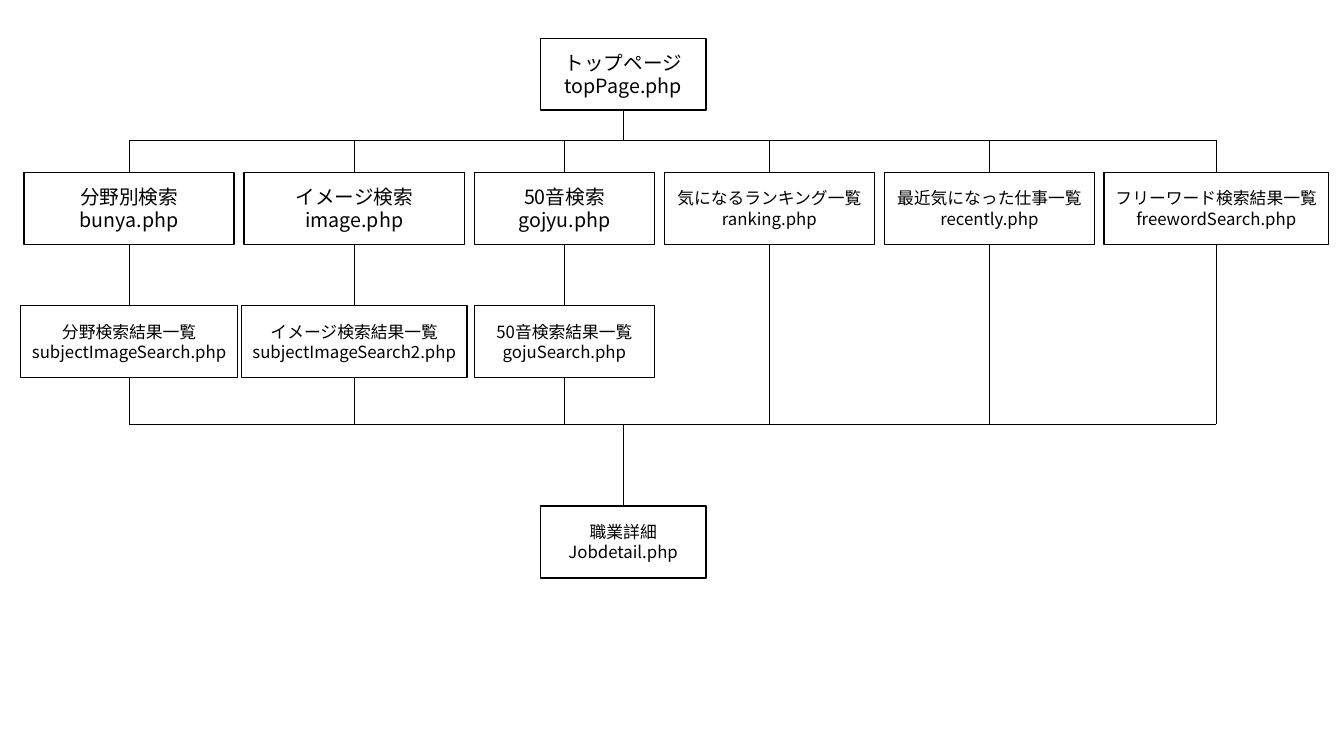
from lxml.etree import SubElement
from pptx import Presentation
from pptx.dml.color import RGBColor
from pptx.enum.shapes import MSO_CONNECTOR, MSO_SHAPE
from pptx.enum.text import MSO_ANCHOR, PP_ALIGN
from pptx.oxml.ns import qn
from pptx.util import Pt


def color(value):
    return RGBColor.from_string(value)


class SiteMap:
    font = "Noto Sans CJK JP"
    ink = "000000"
    paper = "FFFFFF"
    page_height = 51.3

    def __init__(self, slide):
        self.slide = slide

    def page(self, center, top, width, size, title, file_name):
        """Box for one web page, centred on a column."""
        box = self.slide.shapes.add_shape(
            MSO_SHAPE.RECTANGLE, Pt(center - width / 2), Pt(top),
            Pt(width), Pt(self.page_height))
        box.shadow.inherit = False
        box.fill.solid()
        box.fill.fore_color.rgb = color(self.paper)
        box.line.color.rgb = color(self.ink)
        box.line.width = Pt(1)
        frame = box.text_frame
        frame.word_wrap = True
        frame.margin_left = frame.margin_right = Pt(0)
        frame.vertical_anchor = MSO_ANCHOR.MIDDLE
        frame.text = f"{title}\n{file_name}"
        for paragraph in frame.paragraphs:
            paragraph.alignment = PP_ALIGN.CENTER
            font = paragraph.font
            font.size = Pt(size)
            font.color.rgb = color(self.ink)
            font.name = self.font
            # East Asian typeface
            SubElement(font._rPr, qn("a:ea"), typeface=self.font)

    def link(self, x1, y1, x2, y2):
        line = self.slide.shapes.add_connector(
            MSO_CONNECTOR.STRAIGHT, Pt(x1), Pt(y1), Pt(x2), Pt(y2))
        line.line.color.rgb = color(self.ink)
        line.line.width = Pt(0.5)
        SubElement(line._element.spPr, qn("a:effectLst"))


presentation = Presentation()
presentation.slide_width, presentation.slide_height = Pt(960), Pt(540)
site = SiteMap(presentation.slides.add_slide(presentation.slide_layouts[6]))

# Levels of the hierarchy
main_center, main_width = 445.2, 118.2
top_y, search_y, result_y, detail_y = 27.4, 123.2, 218.3, 361.5
split_y, merge_y = 100.2, 302.8

# Column centre, search page, result page (width, size, title, file)
branches = [
    (92.3, (150, 14, "分野別検索", "bunya.php"),
     (155, 12, "分野検索結果一覧", "subjectImageSearch.php")),
    (253.1, (157.7, 14, "イメージ検索", "image.php"),
     (161.3, 12, "イメージ検索結果一覧", "subjectImageSearch2.php")),
    (403.2, (128.2, 14, "50音検索", "gojyu.php"),
     (128.2, 12, "50音検索結果一覧", "gojuSearch.php")),
    (549.6, (150, 12, "気になるランキング一覧", "ranking.php"), None),
    (706.8, (150, 12, "最近気になった仕事一覧", "recently.php"), None),
    (868.8, (160.6, 12, "フリーワード検索結果一覧", "freewordSearch.php"), None),
]

# Top page and job detail page
site.page(main_center, top_y, main_width, 14, "トップページ", "topPage.php")
site.page(main_center, detail_y, main_width, 12, "職業詳細", "Jobdetail.php")
site.link(main_center, top_y + site.page_height, main_center, split_y)
site.link(main_center, merge_y, main_center, detail_y)

# Horizontal lines that split and merge the branches
for bus_y in (split_y, merge_y):
    site.link(branches[0][0], bus_y, branches[-1][0], bus_y)

# Branches
for center, search, result in branches:
    site.link(center, split_y, center, search_y)
    site.page(center, search_y, *search)
    branch_bottom = search_y + site.page_height
    if result:
        site.link(center, branch_bottom, center, result_y)
        site.page(center, result_y, *result)
        branch_bottom = result_y + site.page_height
    site.link(center, branch_bottom, center, merge_y)

presentation.save("out.pptx")
